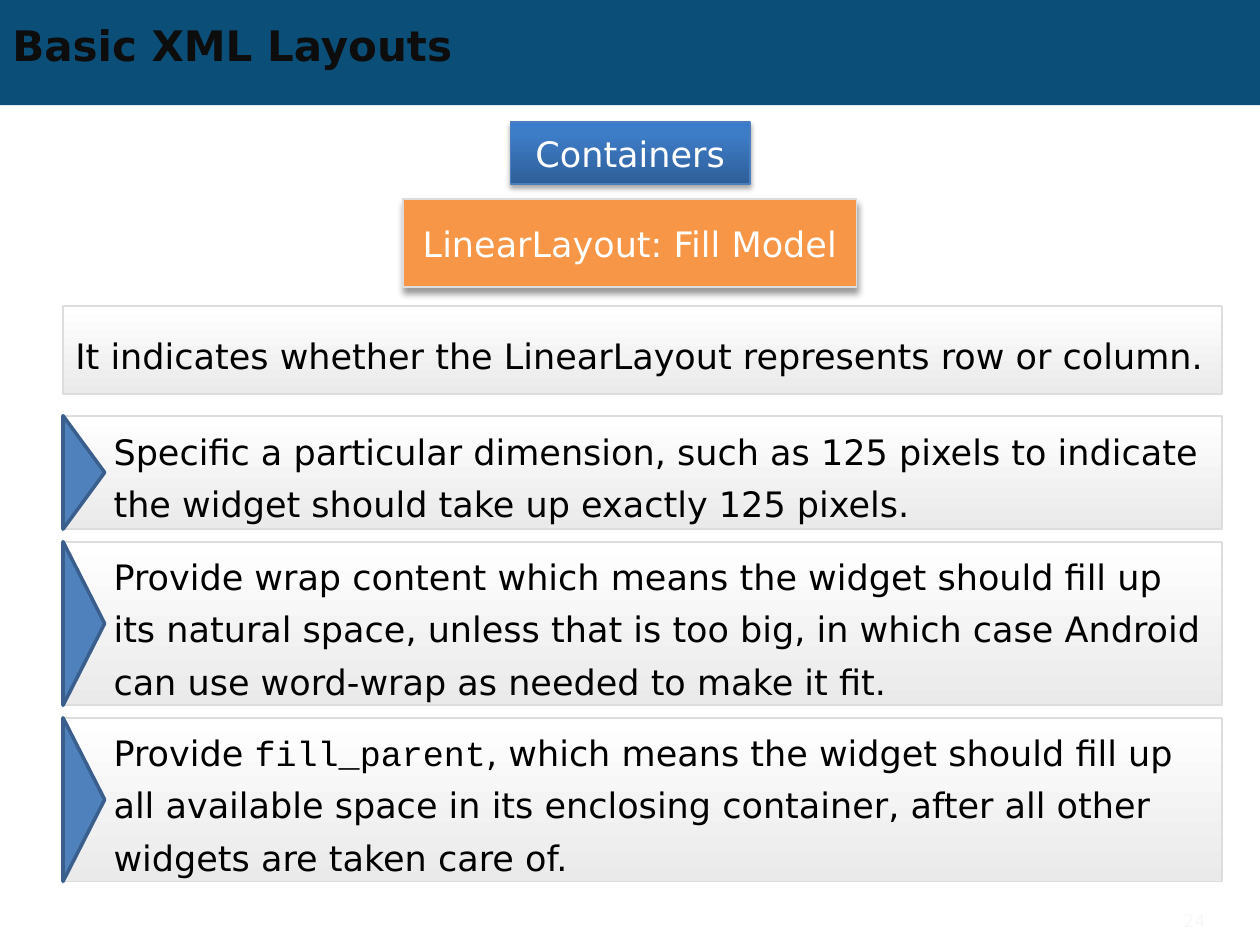
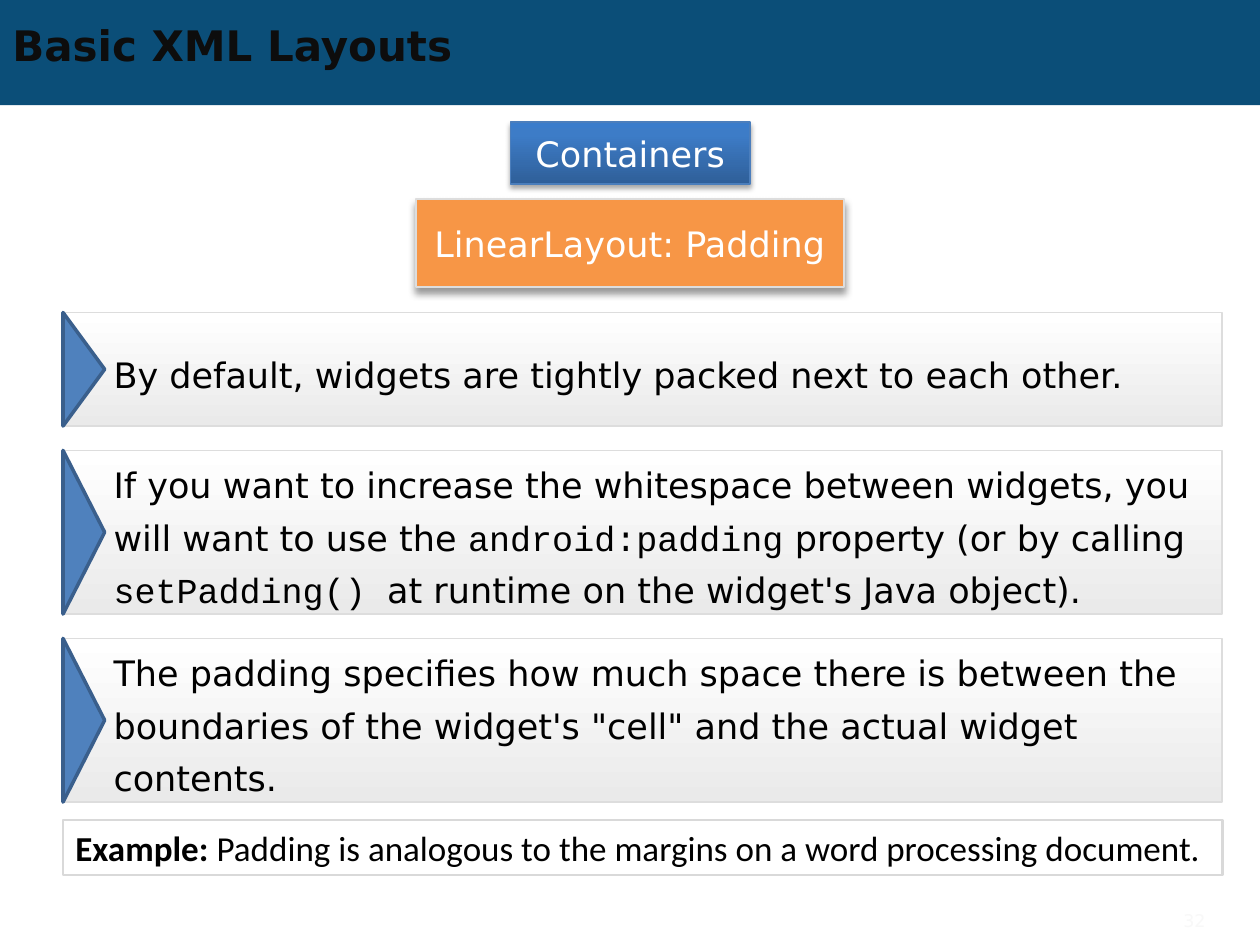
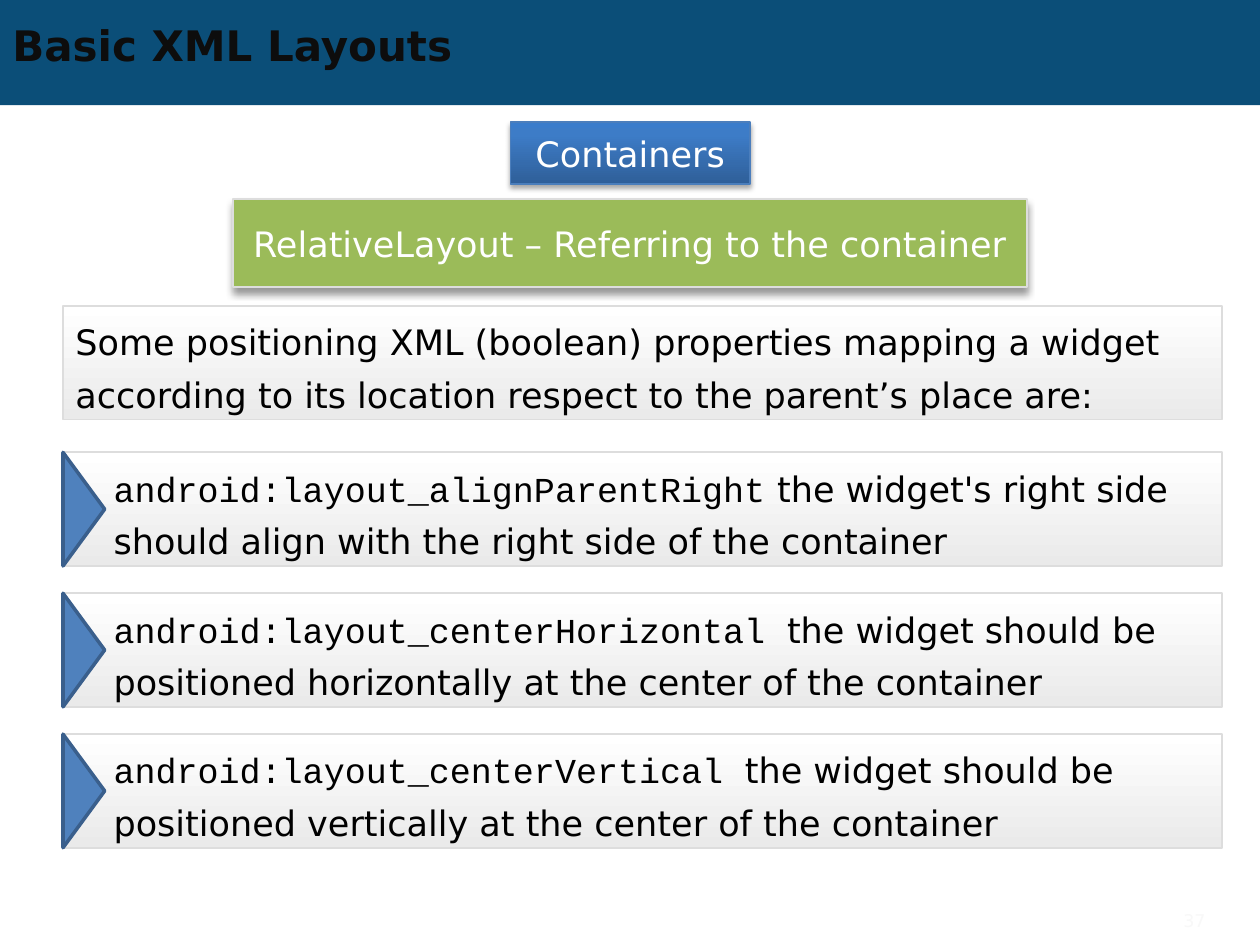
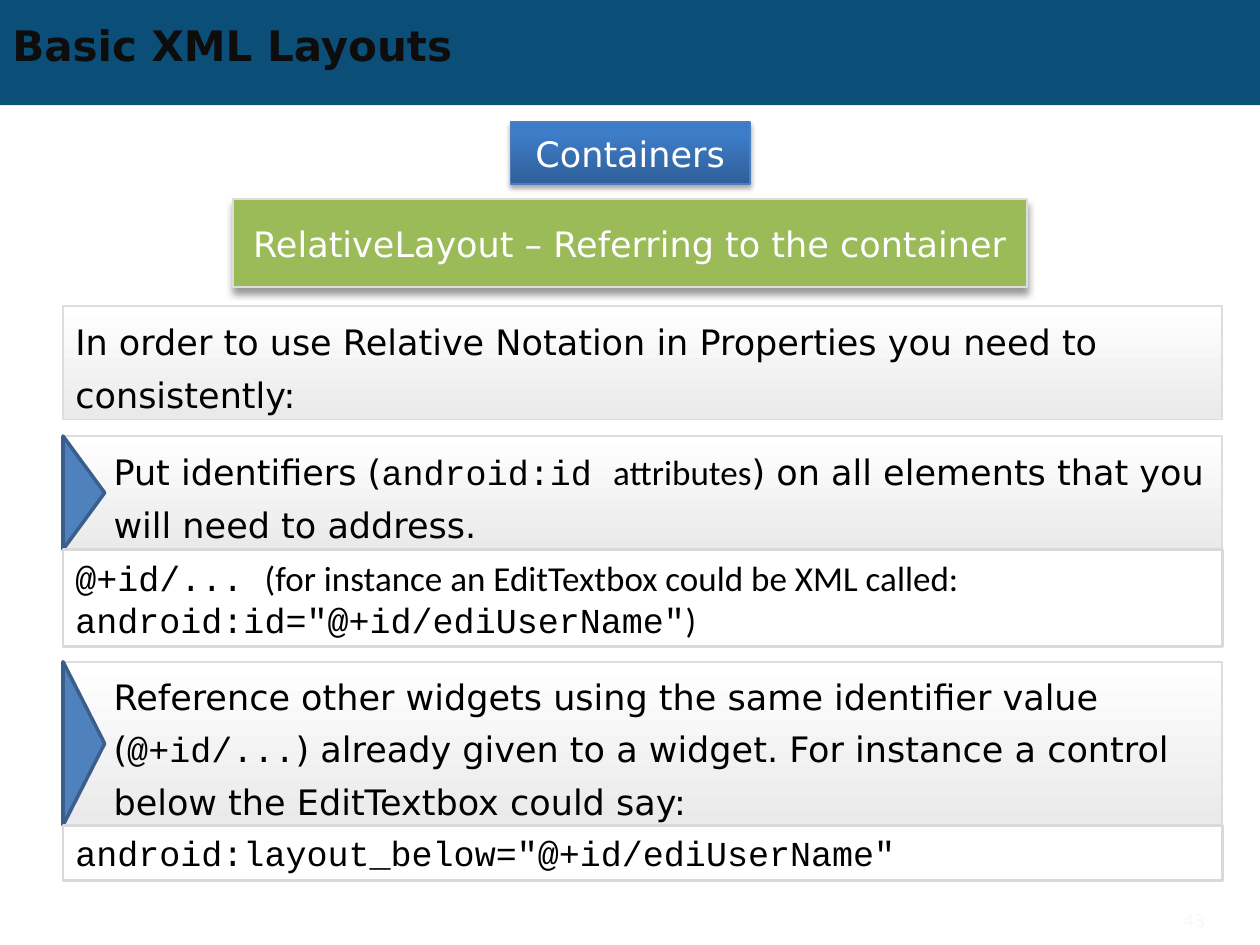
from dataclasses import dataclass
from typing import Optional

from lxml import etree
from pptx import Presentation
from pptx import util as u
from pptx.dml.color import RGBColor
from pptx.enum import shapes, text
from pptx.oxml.ns import qn
from pptx.util import Cm


# Theme: colours, fonts and type sizes
@dataclass(frozen=True)
class Theme:
    band: str = "0B4E78"
    title: str = "0D0D0D"
    ink: str = "000000"
    white: str = "FFFFFF"
    linear: str = "F79646"
    relative: str = "9BBB59"
    marker: str = "4F81BD"
    marker_line: str = "3A5F8C"
    panel_line: str = "DDDDDD"
    note_line: str = "D9D9D9"
    topic_line: str = "4B7EBC"
    page_number: str = "F8F8F8"
    panel_stops: tuple = ((0, "FFFFFF"), (100, "EAEAEA"))
    topic_stops: tuple = ((0, "2F5F99"), (80, "3D7CC7"), (100, "3A7CCB"))
    sans: str = "DejaVu Sans"
    mono: str = "Courier New"
    note: str = "Calibri"
    title_size: int = 24
    body_size: int = 20
    number_size: int = 10
    line_spacing: int = 30


THEME = Theme()
SLIDE_WIDTH, SLIDE_HEIGHT = 25.4, 19.05
PANEL_LEFT, PANEL_WIDTH = 1.27, 23.37
INTRO_TOP = 6.17
MARKER_DEPTH = 0.84
PANEL_HEIGHTS = {1: 2.29, 2: 2.29, 3: 3.3}
NOTE_HEIGHTS = {1: 1.11, 2: 1.96}
DEFAULT_INSETS = (0.25, 0.13, 0.25, 0.13)
POINT_INSETS = (1.02, 0, 0.25, 0)
NO_INSETS = (0, 0, 0, 0)


# Content types, lengths in centimetres
@dataclass(frozen=True)
class Piece:
    words: str
    font: str = THEME.sans
    bold: bool = False


@dataclass(frozen=True)
class Box:
    left: float
    top: float
    width: float
    height: float


@dataclass(frozen=True)
class Shadow:
    opacity: int
    blur: float
    distance: float


@dataclass(frozen=True)
class Note:
    lines: int
    pieces: list[Piece]
    gap: float = 0


@dataclass(frozen=True)
class Point:
    lines: int
    pieces: list[Piece]
    note: Optional[Note] = None


@dataclass(frozen=True)
class Page:
    number: int
    heading: str
    heading_width: float
    heading_colour: str
    points_top: float
    gap: float
    points: list[Point]
    intro: str = ""
    intro_height: float = 2.29


def code(words: str) -> Piece:
    return Piece(words, THEME.mono)


def remark(words: str, bold: bool = False) -> Piece:
    return Piece(words, THEME.note, bold)


# Drawing helpers
def rgb(colour: str) -> RGBColor:
    return RGBColor.from_string(colour)


def set_gradient(shape, stops: tuple, angle: int) -> None:
    """Fill with stops along a counter-clockwise angle."""
    shape.fill.gradient()
    shape.fill.gradient_angle = angle
    stop_list = shape._element.spPr.find(qn("a:gradFill")).find(qn("a:gsLst"))
    for stop in list(stop_list):
        stop_list.remove(stop)
    for position, colour in stops:
        stop = etree.SubElement(stop_list, qn("a:gs"), pos=str(position * 1000))
        etree.SubElement(stop, qn("a:srgbClr"), val=colour)


def set_shadow(shape, shadow: Shadow) -> None:
    effects = shape._element.spPr.find(qn("a:effectLst"))
    outer = etree.SubElement(
        effects, qn("a:outerShdw"), blurRad=str(u.Pt(shadow.blur)),
        dist=str(u.Pt(shadow.distance)), dir="5400000", rotWithShape="0")
    colour = etree.SubElement(outer, qn("a:srgbClr"), val=THEME.ink)
    etree.SubElement(colour, qn("a:alpha"), val=str(shadow.opacity * 1000))


def add_box(parent, box: Box, fill: Optional[str] = None,
            line: Optional[str] = None, line_width: float = 1,
            kind=shapes.MSO_SHAPE.RECTANGLE):
    shape = parent.shapes.add_shape(
        kind, Cm(box.left), Cm(box.top), Cm(box.width), Cm(box.height))
    shape.shadow.inherit = False
    if fill:
        shape.fill.solid()
        shape.fill.fore_color.rgb = rgb(fill)
    if line:
        shape.line.color.rgb = rgb(line)
        shape.line.width = u.Pt(line_width)
    else:
        shape.line.fill.background()
    return shape


def write(shape, pieces: list[Piece], colour: str = THEME.ink,
          size: int = THEME.body_size, align=text.PP_ALIGN.LEFT,
          anchor=text.MSO_ANCHOR.MIDDLE, insets: tuple = DEFAULT_INSETS,
          spacing: Optional[int] = None):
    frame = shape.text_frame
    frame.word_wrap = True
    frame.vertical_anchor = anchor
    frame.margin_left, frame.margin_top, frame.margin_right, frame.margin_bottom = map(Cm, insets)
    paragraph = frame.paragraphs[0]
    paragraph.alignment = align
    if spacing:
        paragraph.line_spacing = u.Pt(spacing)
    for piece in pieces:
        run = paragraph.add_run()
        run.text = piece.words
        run.font.name = piece.font
        run.font.size = u.Pt(size)
        run.font.bold = piece.bold
        run.font.color.rgb = rgb(colour)
    return frame


def add_label(slide, box: Box, words: str, colour: str, size: int,
              bold: bool, align) -> None:
    label = slide.shapes.add_textbox(
        Cm(box.left), Cm(box.top), Cm(box.width), Cm(box.height))
    write(label, [Piece(words, bold=bold)], colour, size, align)


def add_panel(parent, top: float, height: float, pieces: list[Piece],
              insets: tuple = DEFAULT_INSETS) -> None:
    panel = add_box(parent, Box(PANEL_LEFT, top, PANEL_WIDTH, height),
                    line=THEME.panel_line)
    set_gradient(panel, THEME.panel_stops, 270)
    write(panel, pieces, insets=insets, spacing=THEME.line_spacing)


def add_note(parent, top: float, note: Note) -> None:
    box = Box(PANEL_LEFT, top, PANEL_WIDTH, NOTE_HEIGHTS[note.lines])
    shape = add_box(parent, box, THEME.white, THEME.note_line, 1.5)
    frame = write(shape, note.pieces, anchor=text.MSO_ANCHOR.TOP)
    frame.auto_size = text.MSO_AUTO_SIZE.SHAPE_TO_FIT_TEXT


def add_point(slide, top: float, point: Point) -> float:
    """Draw a marked panel with its note and return the bottom edge."""
    group = slide.shapes.add_group_shape()
    height = PANEL_HEIGHTS[point.lines]
    add_panel(group, top, height, point.pieces, POINT_INSETS)
    # The triangle is laid out upright, then turned about its centre
    marker_box = Box(PANEL_LEFT + (MARKER_DEPTH - height) / 2,
                     top + (height - MARKER_DEPTH) / 2, height, MARKER_DEPTH)
    marker = add_box(group, marker_box, THEME.marker, THEME.marker_line, 2,
                     shapes.MSO_SHAPE.ISOSCELES_TRIANGLE)
    marker.rotation = 90
    bottom = top + height
    if point.note:
        bottom += point.note.gap
        add_note(group, bottom, point.note)
        bottom += NOTE_HEIGHTS[point.note.lines]
    return bottom


# Parts shared by every slide
def add_frame(slide, page: Page) -> None:
    add_box(slide, Box(0, 0, SLIDE_WIDTH, 2.12), THEME.band)
    add_label(slide, Box(0, 0.36, 22.86, 1.09), "Basic XML Layouts",
              THEME.title, THEME.title_size, True, text.PP_ALIGN.LEFT)
    add_label(slide, Box(22.5, 18.2, 2.05, 0.7), str(page.number),
              THEME.page_number, THEME.number_size, False, text.PP_ALIGN.RIGHT)

    topic = add_box(slide, Box(10.29, 2.46, 4.83, 1.25),
                    line=THEME.topic_line, line_width=0.75)
    set_gradient(topic, THEME.topic_stops, 90)
    set_shadow(topic, Shadow(35, 3.1, 1.8))
    write(topic, [Piece("Containers")], THEME.white, align=text.PP_ALIGN.CENTER)

    left = (SLIDE_WIDTH - page.heading_width) / 2
    heading = add_box(slide, Box(left, 4.01, page.heading_width, 1.78),
                      page.heading_colour, THEME.panel_line)
    set_shadow(heading, Shadow(40, 4, 3))
    write(heading, [Piece(page.heading)], THEME.white,
          align=text.PP_ALIGN.CENTER, insets=NO_INSETS)


def add_page(presentation, page: Page) -> None:
    slide = presentation.slides.add_slide(presentation.slide_layouts[6])
    add_frame(slide, page)
    if page.intro:
        add_panel(slide, INTRO_TOP, page.intro_height, [Piece(page.intro)])
    top = page.points_top
    for point in page.points:
        top = add_point(slide, top, point) + page.gap


# Slide contents
CONTAINER_HEADING = "RelativeLayout – Referring to the container"

PAGES = [
    Page(24, "LinearLayout: Fill Model", 9.14, THEME.linear, 8.38, 0.25, [
        Point(2, [Piece("Specific a particular dimension, such as 125 pixels to indicate "
                        "the widget should take up exactly 125 pixels.")]),
        Point(3, [Piece("Provide wrap content which means the widget should fill up its "
                        "natural space, unless that is too big, in which case Android can "
                        "use word‐wrap as needed to make it fit.")]),
        Point(3, [Piece("Provide "), code("fill_parent"),
                  Piece(", which means the widget should fill up all available space in "
                        "its enclosing container, after all other widgets are taken care of.")]),
    ], "It indicates whether the LinearLayout represents row or column.", 1.78),
    Page(32, "LinearLayout: Padding", 8.64, THEME.linear, 6.3, 0.49, [
        Point(1, [Piece("By default, widgets are tightly packed next to each other.")]),
        Point(3, [Piece("If you want to increase the whitespace between widgets, you will "
                        "want to use the "), code("android:padding"),
                  Piece(" property (or by calling "), code("setPadding() "),
                  Piece("at runtime on the widget's Java object).")]),
        Point(3, [Piece("The padding specifies how much space there is between the "
                        "boundaries of the widget's \"cell\" and the actual widget contents.")],
              Note(1, [remark("Example: ", True),
                       remark("Padding is analogous to the margins on a word processing "
                              "document.")], 0.36)),
    ]),
    Page(37, CONTAINER_HEADING, 16, THEME.relative, 9.12, 0.55, [
        Point(2, [code("android:layout_alignParentRight"),
                  Piece(" the widget's right side should align with the right side of "
                        "the container")]),
        Point(2, [code("android:layout_centerHorizontal "),
                  Piece("the widget should be positioned horizontally at the center of "
                        "the container")]),
        Point(2, [code("android:layout_centerVertical "),
                  Piece("the widget should be positioned vertically at the center of "
                        "the container")]),
    ], "Some positioning XML (boolean) properties mapping a widget according to its "
       "location respect to the parent’s place are:"),
    Page(43, CONTAINER_HEADING, 16, THEME.relative, 8.79, 0.3, [
        Point(2, [Piece("Put identifiers ("), code("android:id "), remark("attributes"),
                  Piece(") on all elements that you will need to address.")],
              Note(2, [code("@+id/... "),
                       remark("(for instance an EditTextbox could be XML called: "),
                       code("android:id=\"@+id/ediUserName\""), remark(")")])),
        Point(3, [Piece("Reference other widgets using the same identifier value ("),
                  code("@+id/..."),
                  Piece(") already given to a widget. For instance a control below the "
                        "EditTextbox could say:")],
              Note(1, [code("android:layout_below=\"@+id/ediUserName\"")])),
    ], "In order to use Relative Notation in Properties you need to consistently:"),
]


def main() -> None:
    presentation = Presentation()
    presentation.slide_width = Cm(SLIDE_WIDTH)
    presentation.slide_height = Cm(SLIDE_HEIGHT)
    for page in PAGES:
        add_page(presentation, page)
    presentation.save("out.pptx")


if __name__ == "__main__":
    main()
